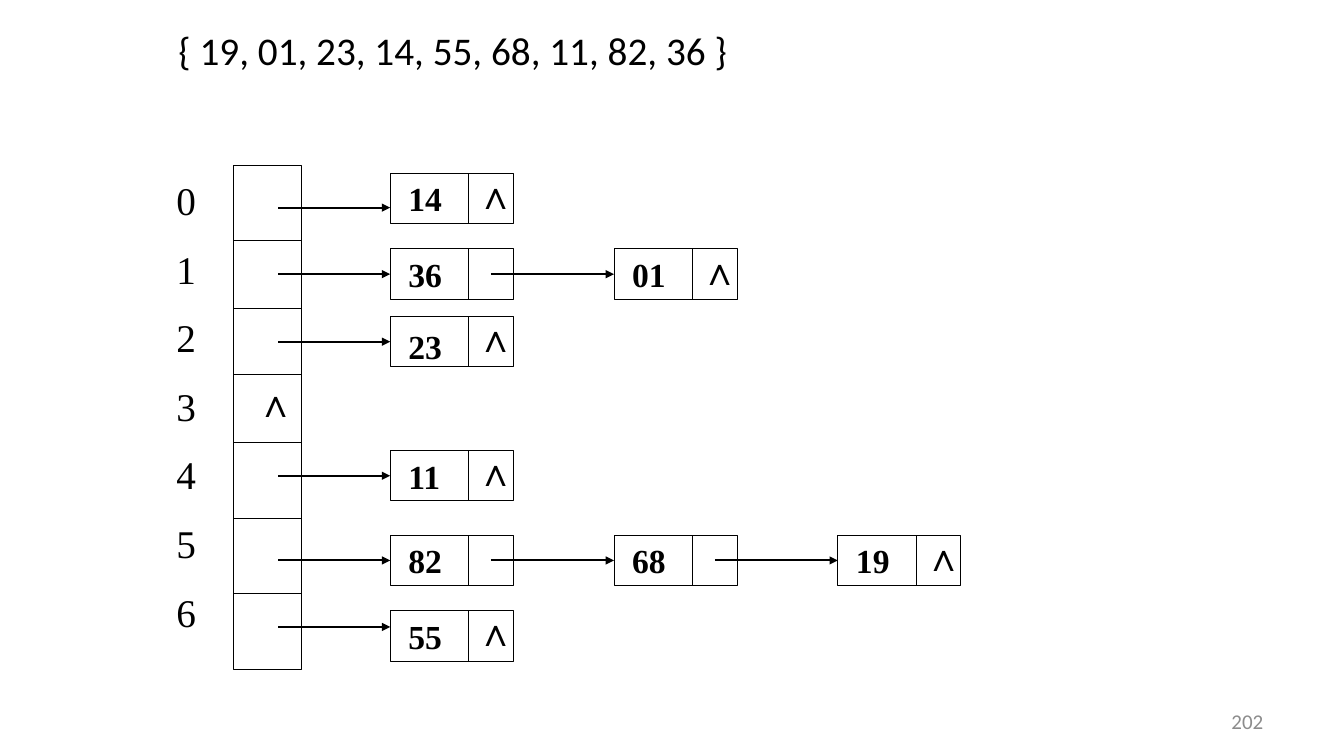
from dataclasses import dataclass

from lxml import etree
from pptx import Presentation
from pptx import util as u
from pptx.dml.color import RGBColor
from pptx.enum import shapes, text
from pptx.oxml import ns

BLACK = "000000"
SERIF, SANS = "Times New Roman", "Calibri"
NULL_MARK = "∧"

TABLE_LEFT, TABLE_TOP, TABLE_WIDTH, TABLE_HEIGHT = 2.32, 1.64, 0.67, 5
TABLE_DIVIDERS = (2.39, 3.06, 3.72, 4.39, 5.14, 5.89)
BUCKET_COUNT = 7
POINTER_LEFT = 2.76

NODE_LEFT, NODE_PITCH = 3.87, 2.22
NODE_WIDTH, NODE_HEIGHT = 1.22, 0.5
KEY_WIDTH = 0.78
LINK_OFFSET = 1.0
MARK_OFFSET_X, MARK_OFFSET_Y = 0.76, -0.08


@dataclass(frozen=True)
class Chain:
    keys: tuple[str, ...]
    top: float
    arrow_y: float
    key_drop: float = 0.0


CHAINS = (
    Chain(("14",), 1.72, 2.06),
    Chain(("36", "01"), 2.47, 2.72),
    Chain(("23",), 3.14, 3.39, 0.09),
    Chain(("11",), 4.47, 4.72),
    Chain(("82", "68", "19"), 5.31, 5.56),
    Chain(("55",), 6.06, 6.22),
)


def color(value: str) -> RGBColor:
    return RGBColor.from_string(value)


def write(shape, lines: list[str], size: float, font: str = SERIF,
          hue: str = BLACK, bold: bool = False, align=text.PP_ALIGN.LEFT,
          gap: float = 0, **frame_format) -> None:
    frame = shape.text_frame
    frame.word_wrap = True
    for name, value in frame_format.items():
        setattr(frame, name, value)
    font_format = {"size": u.Pt(size), "name": font, "bold": bold}
    for index, line in enumerate(lines):
        para = frame.add_paragraph() if index else frame.paragraphs[0]
        para.alignment = align
        if index and gap:
            para.space_before = u.Pt(gap)
        span = para.add_run()
        span.text = line
        for name, value in font_format.items():
            setattr(span.font, name, value)
        span.font.color.rgb = color(hue)


def add_label(page, left: float, top: float, width: float, height: float,
              lines: list[str], size: float, **options) -> None:
    box = page.shapes.add_textbox(*map(u.Inches, (left, top, width, height)))
    write(box, lines, size, **options)


def add_box(page, left: float, top: float, width: float, height: float):
    box = page.shapes.add_shape(shapes.MSO_SHAPE.RECTANGLE,
                                *map(u.Inches, (left, top, width, height)))
    box.shadow.inherit = False
    box.fill.background()
    box.line.color.rgb = color(BLACK)
    box.line.width = u.Pt(0.75)
    return box


def add_line(page, x1: float, y1: float, x2: float, y2: float,
             width: float = 0.75):
    line = page.shapes.add_connector(shapes.MSO_CONNECTOR.STRAIGHT,
                                     *map(u.Inches, (x1, y1, x2, y2)))
    line.line.color.rgb = color(BLACK)
    line.line.width = u.Pt(width)
    etree.SubElement(line._element.spPr, ns.qn("a:effectLst"))
    return line


def add_arrow(page, start: float, end: float, y: float, node, top: float) -> None:
    arrow = add_line(page, start, y, end, y, 1.5)
    tail = etree.SubElement(arrow.line._get_or_add_ln(), ns.qn("a:tailEnd"))
    tail.set("type", "triangle")
    if abs(top + NODE_HEIGHT / 2 - y) < 0.01:
        arrow.end_connect(node, 1)


def add_mark(page, left: float, top: float) -> None:
    add_label(page, left, top, 0.44, 0.57, [NULL_MARK], 28, bold=True)


def draw_table(page) -> None:
    add_box(page, TABLE_LEFT, TABLE_TOP, TABLE_WIDTH, TABLE_HEIGHT)
    for y in TABLE_DIVIDERS:
        add_line(page, TABLE_LEFT, y, TABLE_LEFT + TABLE_WIDTH, y)
    add_label(page, 1.65, 1.7, 0.78, 4.81,
              [str(bucket) for bucket in range(BUCKET_COUNT)], 28, gap=15.4)
    add_mark(page, 2.45, 3.7)


def draw_chain(page, chain: Chain) -> None:
    start = POINTER_LEFT
    for position, key in enumerate(chain.keys):
        left = NODE_LEFT + position * NODE_PITCH
        node = add_box(page, left, chain.top, NODE_WIDTH, NODE_HEIGHT)
        write(node, [key], 24, bold=True,
              vertical_anchor=text.MSO_ANCHOR.MIDDLE,
              margin_left=u.Inches(0.18),
              margin_top=u.Inches(0.05 + chain.key_drop))
        divider = left + KEY_WIDTH
        add_line(page, divider, chain.top, divider, chain.top + NODE_HEIGHT)
        add_arrow(page, start, left, chain.arrow_y, node, chain.top)
        start = left + LINK_OFFSET
    # The last node of a chain holds the null mark
    add_mark(page, left + MARK_OFFSET_X, chain.top + MARK_OFFSET_Y)


def main() -> None:
    deck = Presentation()
    deck.slide_width, deck.slide_height = u.Inches(13.33), u.Inches(7.5)
    page = deck.slides.add_slide(deck.slide_layouts[6])

    # Key set
    add_label(page, 1.58, 0.21, 5.9, 0.57,
              ["{ 19, 01, 23, 14, 55, 68, 11, 82, 36 }"], 28, font=SANS,
              margin_left=u.Inches(0.19))

    # Hash table and its chains
    draw_table(page)
    for chain in CHAINS:
        draw_chain(page, chain)

    # Page number
    add_label(page, 9.55, 6.95, 3.11, 0.4, ["202"], 15, font=SANS,
              hue="8C8C8C", align=text.PP_ALIGN.RIGHT,
              vertical_anchor=text.MSO_ANCHOR.MIDDLE,
              margin_right=u.Inches(0.13))

    deck.save("out.pptx")


if __name__ == "__main__":
    main()
